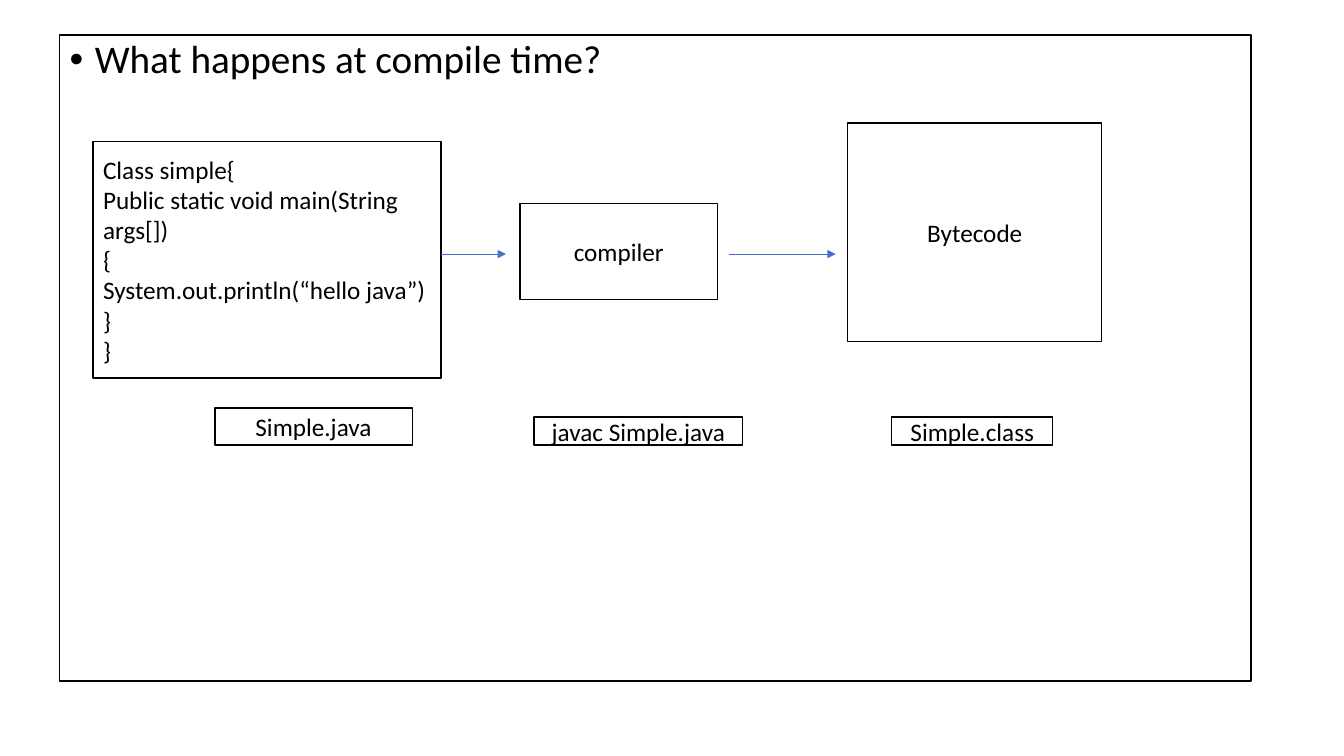
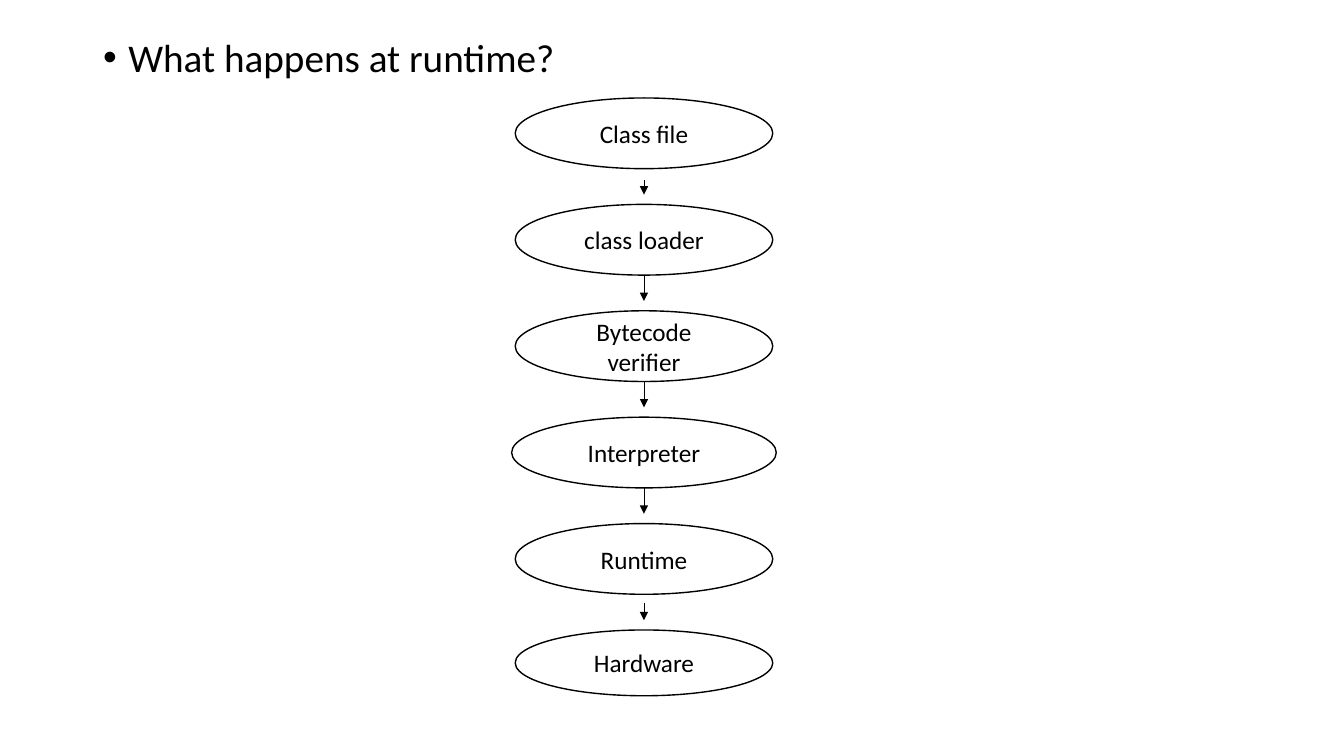
from lxml import etree
from pptx import Presentation
from pptx.dml.color import RGBColor
from pptx.enum import shapes, text
from pptx.oxml import ns
from pptx.util import Pt

BLACK = RGBColor(0x00, 0x00, 0x00)
WHITE = RGBColor(0xFF, 0xFF, 0xFF)
BLUE = RGBColor(0x44, 0x72, 0xC4)

LEFT, CENTER = text.PP_ALIGN.LEFT, text.PP_ALIGN.CENTER
RECTANGLE, OVAL = shapes.MSO_SHAPE.RECTANGLE, shapes.MSO_SHAPE.OVAL


def apply(target, values):
    for name, value in values.items():
        setattr(target, name, value)


def add_xml(parent, tag, **attributes):
    return etree.SubElement(parent, ns.qn(tag), attributes)


class Deck:
    """Holds the shared style and the current slide."""

    FONT = "Calibri"
    BULLET_INDENT = Pt(18)
    HEADING = {"alignment": LEFT, "line_spacing": 0.9, "space_before": Pt(10)}
    HEADING_FRAME = {"word_wrap": True, "auto_size": text.MSO_AUTO_SIZE.NONE,
                     "vertical_anchor": text.MSO_ANCHOR.TOP}
    NODE_FRAME = {"word_wrap": True, "vertical_anchor": text.MSO_ANCHOR.MIDDLE}

    def __init__(self):
        self.prs = Presentation()
        apply(self.prs, {"slide_width": Pt(960), "slide_height": Pt(540)})
        self.slide = None

    def style_font(self, font, size):
        apply(font, {"name": self.FONT, "size": Pt(size)})
        font.color.rgb = BLACK

    def outline(self, shape):
        shape.fill.solid()
        shape.fill.fore_color.rgb = WHITE
        shape.line.color.rgb = BLACK
        shape.line.width = Pt(1)

    def new_slide(self, heading, left, top, width, height, framed=False):
        """Start a slide with a bulleted heading in its title placeholder."""
        self.slide = self.prs.slides.add_slide(self.prs.slide_layouts[5])
        title = self.slide.shapes.title
        apply(title, {"left": Pt(left), "top": Pt(top),
                      "width": Pt(width), "height": Pt(height)})
        if framed:
            self.outline(title)
        apply(title.text_frame, self.HEADING_FRAME)
        paragraph = title.text_frame.paragraphs[0]
        apply(paragraph, self.HEADING)
        run = paragraph.add_run()
        run.text = heading
        self.style_font(run.font, 28)
        properties = paragraph._p.get_or_add_pPr()
        properties.set("marL", str(self.BULLET_INDENT))
        properties.set("indent", str(-self.BULLET_INDENT))
        add_xml(properties, "a:buFont", typeface="Arial")
        add_xml(properties, "a:buChar", char="•")

    def node(self, kind, lines, left, top, width, height, align=CENTER):
        """Add an outlined shape with one paragraph per line."""
        shape = self.slide.shapes.add_shape(
            kind, Pt(left), Pt(top), Pt(width), Pt(height))
        shape.shadow.inherit = False
        self.outline(shape)
        frame = shape.text_frame
        apply(frame, self.NODE_FRAME)
        frame.text = "\n".join(lines)
        for paragraph in frame.paragraphs:
            paragraph.alignment = align
            for run in paragraph.runs:
                self.style_font(run.font, 18)

    def arrow(self, x1, y1, x2, y2, color):
        line = self.slide.shapes.add_connector(
            shapes.MSO_CONNECTOR.STRAIGHT, Pt(x1), Pt(y1), Pt(x2), Pt(y2))
        line.line.color.rgb = color
        line.line.width = Pt(0.5)
        properties = line._element.spPr
        add_xml(properties.find(ns.qn("a:ln")), "a:tailEnd", type="triangle")
        add_xml(properties, "a:effectLst")


def compile_time(deck):
    deck.new_slide("What happens at compile time?", 42.5, 25, 851, 461.5, framed=True)

    # Source code, compiler and result
    source_code = ["Class simple{", "Public static void main(String args[])", "{",
                   "System.out.println(“hello java”)", "}", "}"]
    deck.node(RECTANGLE, source_code, 66.5, 101, 248.5, 169, LEFT)
    deck.node(RECTANGLE, ["compiler"], 371.5, 145.5, 141, 68.5)
    deck.node(RECTANGLE, ["Bytecode"], 605.5, 88, 181.5, 156)

    # File and command labels on one bottom edge
    label_bottom = 318
    for label, left, width, height in [("Simple.java", 153.5, 141, 26.5),
                                       ("javac Simple.java", 381.5, 149, 20),
                                       ("Simple.class", 637, 115, 20)]:
        deck.node(RECTANGLE, [label], left, label_bottom - height, width, height)

    # Flow from source to bytecode
    flow_y = 181.5
    for start, end in [(315, 361.5), (520.5, 597)]:
        deck.arrow(start, flow_y, end, flow_y, BLUE)


def run_time(deck):
    deck.new_slide("What happens at runtime?", 66.5, 24, 828, 516)

    # Stage, width, height and gap before the arrow that leaves it
    stages = [("Class file", 184, 50.5, 8),
              ("class loader", 184, 50.5, 0),
              ("Bytecode verifier", 184, 50.5, 0),
              ("Interpreter", 189, 50.5, 0),
              ("Runtime", 184, 50.5, 6),
              ("Hardware", 184, 47, 0)]
    center_x, first_top, pitch, arrow_clearance = 460, 70, 76, 7
    for index, (stage, width, height, gap) in enumerate(stages):
        top = first_top + index * pitch
        deck.node(OVAL, [stage], center_x - width / 2, top, width, height)
        if index < len(stages) - 1:
            deck.arrow(center_x, top + height + gap,
                       center_x, top + pitch - arrow_clearance, BLACK)


def main():
    deck = Deck()
    compile_time(deck)
    run_time(deck)
    deck.prs.save("out.pptx")


if __name__ == "__main__":
    main()
